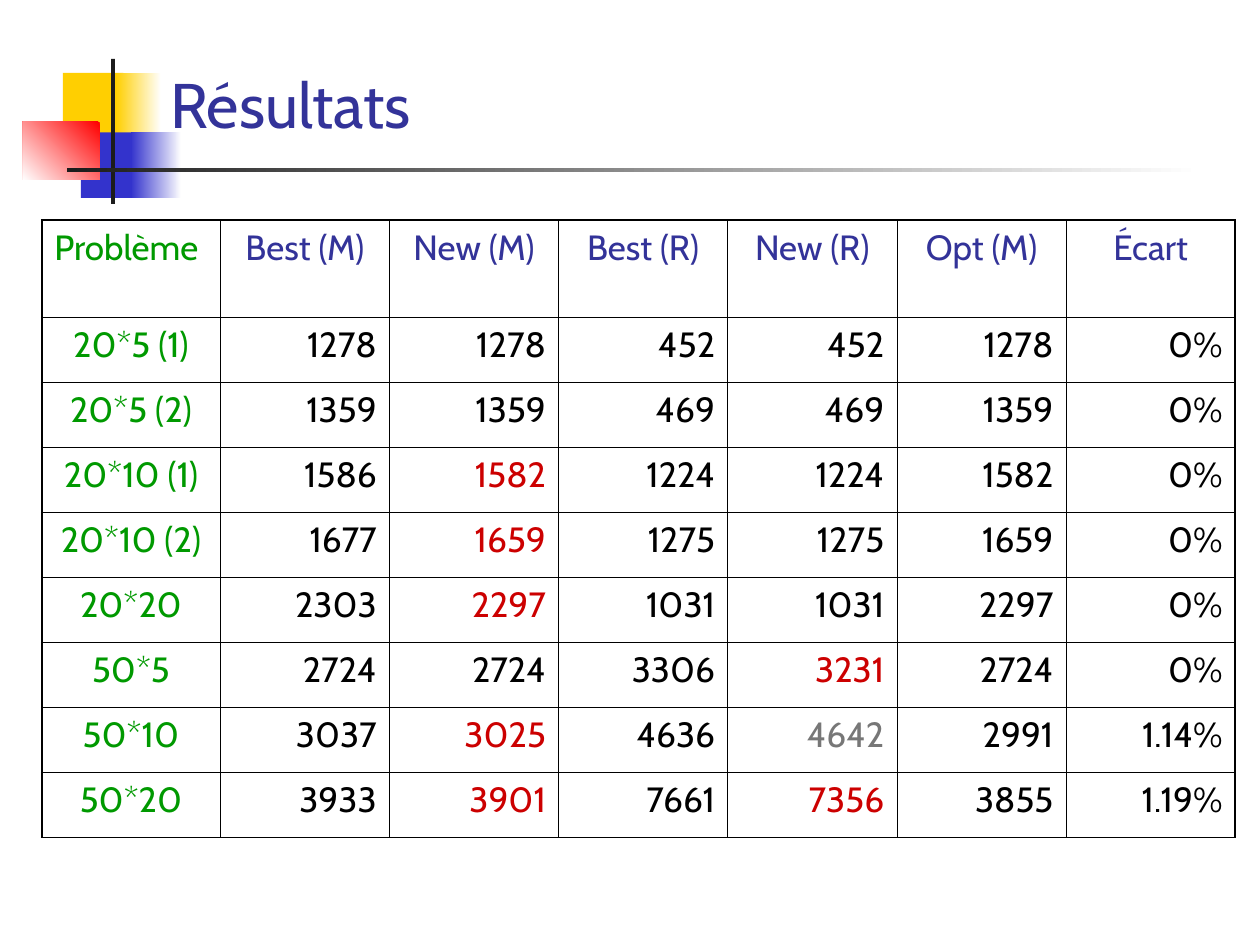
from lxml import etree
from pptx import Presentation
from pptx import util as u
from pptx.dml.color import RGBColor
from pptx.enum import shapes, text
from pptx.oxml.ns import qn

# Content
TITLE = "Résultats"
HEADER = ["Problème", "Best (M)", "New (M)", "Best (R)", "New (R)", "Opt (M)", "Écart"]
RESULTS = [
    ("20*5 (1)", 1278, 1278, 452, 452, 1278, "0%"),
    ("20*5 (2)", 1359, 1359, 469, 469, 1359, "0%"),
    ("20*10 (1)", 1586, 1582, 1224, 1224, 1582, "0%"),
    ("20*10 (2)", 1677, 1659, 1275, 1275, 1659, "0%"),
    ("20*20", 2303, 2297, 1031, 1031, 2297, "0%"),
    ("50*5", 2724, 2724, 3306, 3231, 2724, "0%"),
    ("50*10", 3037, 3025, 4636, 4642, 2991, "1.14%"),
    ("50*20", 3933, 3901, 7661, 7356, 3855, "1.19%"),
]
NEW_COLUMNS = (2, 4)  # each one is compared with the column before it

COLORS = {
    "white": "FFFFFF", "black": "000000", "ink": "1C1C1C", "yellow": "FFCF01",
    "blue": "3333CC", "red": "FF0000", "heading": "333399", "problem": "009900",
    "better": "CC0000", "worse": "777777",
}
FONT = "Cabin"

# Ornament: left, top, width, height in cm, colours, gradient angle
ORNAMENT = [
    (1.27, 1.47, 1.22, 1.32, ["yellow"], 0),
    (2.34, 1.47, 0.91, 1.32, ["white", "yellow"], 180),
    (1.63, 2.67, 1.17, 1.32, ["blue"], 0),
    (2.64, 2.67, 1.02, 1.32, ["white", "blue"], 180),
    (0.46, 2.46, 1.55, 1.17, ["red", "white"], 225),
    (2.24, 1.19, 0.08, 2.92, ["ink"], 0),
    (1.35, 3.38, 22.86, 0.08, ["white", "ink"], 180),
]

# Table measures in cm, borders in points
TABLE_LEFT, TABLE_TOP = 0.84, 4.44
FIRST_WIDTH, OTHER_WIDTH = 3.6, 3.41
HEADER_HEIGHT, ROW_HEIGHT = 1.96, 1.31
INNER, OUTER = 0.45, 1.08


def rgb(name):
    return RGBColor.from_string(COLORS[name])


def style(para, size, color):
    para.font.name, para.font.size = FONT, u.Pt(size)
    para.font.color.rgb = rgb(color)


def add_block(page, left, top, width, height, colors, angle):
    block = page.shapes.add_shape(
        shapes.MSO_SHAPE.RECTANGLE, u.Cm(left), u.Cm(top), u.Cm(width), u.Cm(height))
    block.shadow.inherit = False
    block.line.fill.background()
    if len(colors) == 1:
        block.fill.solid()
        block.fill.fore_color.rgb = rgb(colors[0])
    else:
        block.fill.gradient()
        block.fill.gradient_angle = angle
        for stop, color in zip(block.fill.gradient_stops, colors):
            stop.color.rgb = rgb(color)


def set_borders(cell, widths):
    properties = cell._tc.get_or_add_tcPr()
    for index, (side, width) in enumerate(zip("LRTB", widths)):
        line = etree.Element(qn("a:ln" + side), w=str(u.Pt(width)))
        fill = etree.SubElement(line, qn("a:solidFill"))
        etree.SubElement(fill, qn("a:srgbClr"), val=COLORS["black"])
        properties.insert(index, line)


def cell_color(row, column, values):
    if column == 0:
        return "problem"
    if row == 0:
        return "heading"
    if column in NEW_COLUMNS:
        best, new = values[column - 1:column + 1]
        if new != best:
            return "better" if new < best else "worse"
    return "black"


def cell_alignment(row, column):
    if row == column == 0:
        return text.PP_ALIGN.LEFT
    return text.PP_ALIGN.CENTER if row == 0 or column == 0 else text.PP_ALIGN.RIGHT


def add_results(page):
    rows = [HEADER, *RESULTS]
    widths = [FIRST_WIDTH] + [OTHER_WIDTH] * (len(HEADER) - 1)
    heights = [HEADER_HEIGHT] + [ROW_HEIGHT] * len(RESULTS)
    table = page.shapes.add_table(
        len(rows), len(HEADER), u.Cm(TABLE_LEFT), u.Cm(TABLE_TOP),
        u.Cm(sum(widths)), u.Cm(sum(heights))).table
    table.first_row = table.horz_banding = False
    for column, width in zip(table.columns, widths):
        column.width = u.Cm(width)
    for row, height in zip(table.rows, heights):
        row.height = u.Cm(height)

    last_row, last_column = len(rows) - 1, len(HEADER) - 1
    for r, values in enumerate(rows):
        for c, value in enumerate(values):
            cell = table.cell(r, c)
            cell.fill.background()
            edges = (c == 0, c == last_column, r == 0, r == last_row)
            set_borders(cell, [OUTER if edge else INNER for edge in edges])
            para = cell.text_frame.paragraphs[0]
            para.text = str(value)
            para.alignment = cell_alignment(r, c)
            para.space_before = u.Pt(5)
            style(para, 20, cell_color(r, c, values))


def main():
    deck = Presentation()
    deck.slide_width, deck.slide_height = u.Cm(25.4), u.Cm(19.05)
    page = deck.slides.add_slide(deck.slide_layouts[6])

    # Ornament
    for block in ORNAMENT:
        add_block(page, *block)

    # Title
    box = page.shapes.add_textbox(u.Cm(3.18), u.Cm(0.64), u.Cm(21.59), u.Cm(2.34))
    box.text_frame.word_wrap = True
    box.text_frame.vertical_anchor = text.MSO_ANCHOR.BOTTOM
    para = box.text_frame.paragraphs[0]
    para.text = TITLE
    style(para, 36, "heading")

    # Results
    add_results(page)
    deck.save("out.pptx")


if __name__ == "__main__":
    main()
